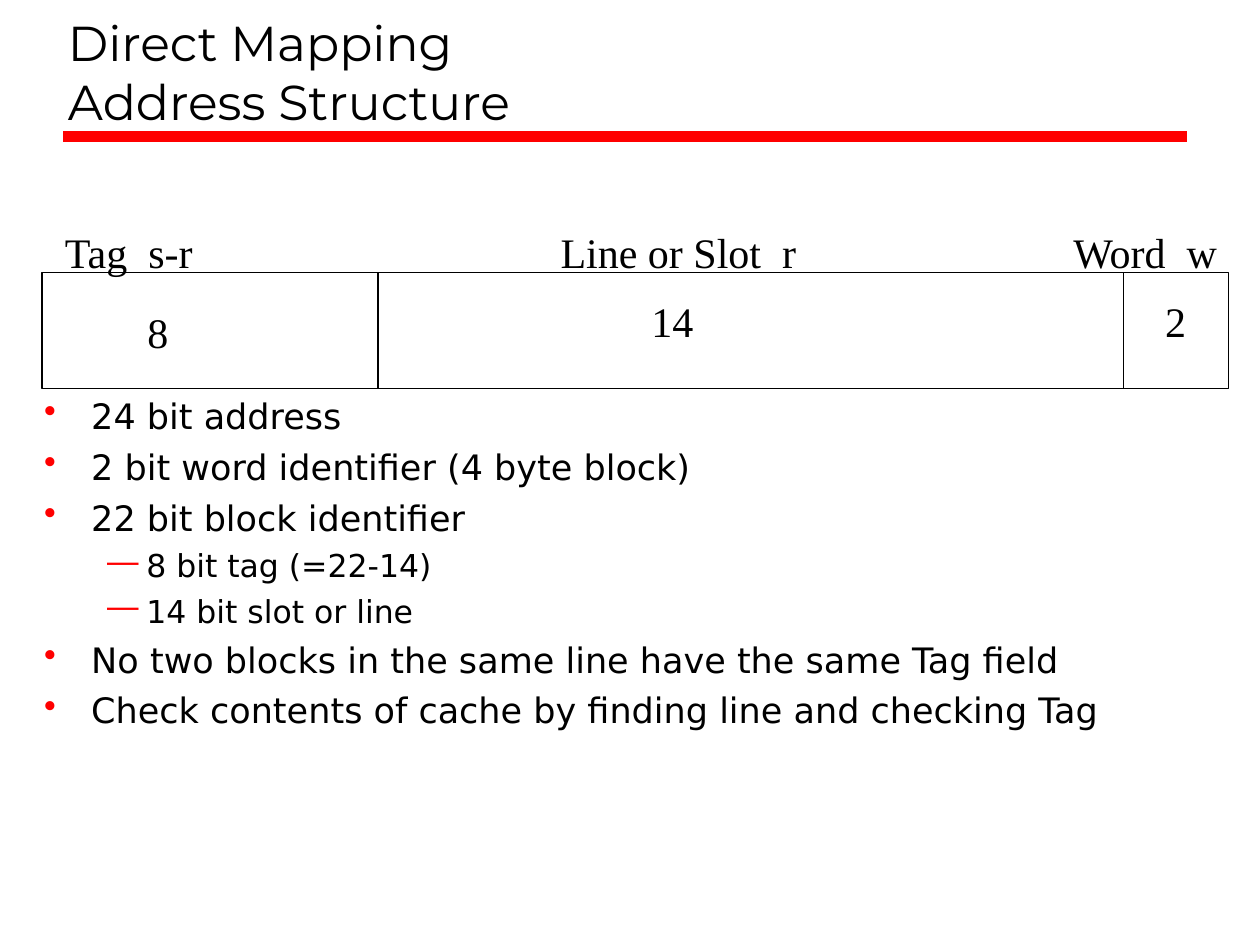
from dataclasses import dataclass

from lxml.etree import SubElement
from pptx import Presentation
from pptx.dml.color import RGBColor as Color
from pptx.enum.shapes import MSO_CONNECTOR as Connector, MSO_SHAPE as Preset
from pptx.enum.text import MSO_ANCHOR as Anchor, MSO_AUTO_SIZE as AutoSize
from pptx.oxml.ns import qn
from pptx.slide import Slide
from pptx.text.text import _Paragraph as Paragraph
from pptx.util import Cm, Pt


@dataclass(frozen=True)
class Theme:
    ink: str = "000000"
    accent: str = "FF0000"
    title_font: str = "Montserrat"
    field_font: str = "Times New Roman"
    body_font: str = "DejaVu Sans"
    title_size: float = 28
    field_size: float = 24
    thin: float = 0.75
    thick: float = 6


@dataclass(frozen=True)
class Level:
    bullet: str
    size: float
    space: float
    margin: float
    hanging: float


@dataclass(frozen=True)
class Label:
    text: str
    left: float
    top: float
    width: float


THEME = Theme()
POINT = Level("•", 20, 5, 0.95, 0.95)
DETAIL = Level("—", 18, 4.5, 2.06, 0.79)

FIELD_EDGES = (0.85, 7.62, 22.65, 24.76)
FIELD_TOP, FIELD_HEIGHT = 5.5, 2.33
NAME_TOP, BITS_TOP, LABEL_HEIGHT = 4.45, 5.84, 1.27

LABELS = (
    Label("Tag  s-r", 1.06, NAME_TOP, 3.12),
    Label("Line or Slot  r", 11.05, NAME_TOP, 5.26),
    Label("Word  w", 21.39, NAME_TOP, 3.45),
    Label("8", 2.72, 6.05, 0.91),
    Label("14", 12.88, BITS_TOP, 1.35),
    Label("2", 23.24, BITS_TOP, 0.91),
)

POINTS = (
    (POINT, "24 bit address"),
    (POINT, "2 bit word identifier (4 byte block)"),
    (POINT, "22 bit block identifier"),
    (DETAIL, "8 bit tag (=22-14)"),
    (DETAIL, "14 bit slot or line"),
    (POINT, "No two blocks in the same line have the same Tag field"),
    (POINT, "Check contents of cache by finding line and checking Tag"),
)


def add_text(slide: Slide, left: float, top: float, width: float, height: float, **formats):
    box = slide.shapes.add_textbox(Cm(left), Cm(top), Cm(width), Cm(height))
    for name, value in {"word_wrap": True, **formats}.items():
        setattr(box.text_frame, name, value)
    return box.text_frame


def write(para: Paragraph, text: str, font: str, size: float) -> None:
    para.text = text
    for span in para.runs:
        for name, value in {"name": font, "size": Pt(size)}.items():
            setattr(span.font, name, value)
        span.font.color.rgb = Color.from_string(THEME.ink)


def add_line(slide: Slide, start: tuple[float, float], end: tuple[float, float],
             color: str, weight: float) -> None:
    line = slide.shapes.add_connector(
        Connector.STRAIGHT, *(Cm(length) for length in start + end))
    line.line.color.rgb = Color.from_string(color)
    line.line.width = Pt(weight)
    SubElement(line._element.spPr, qn("a:effectLst"))


def add_bullet(para: Paragraph, level: Level) -> None:
    properties = para._p.get_or_add_pPr()
    indents = {"marL": level.margin, "indent": -level.hanging}
    for name, length in indents.items():
        properties.set(name, str(int(Cm(length))))
    color = SubElement(properties, qn("a:buClr"))
    SubElement(color, qn("a:srgbClr"), val=THEME.accent)
    SubElement(properties, qn("a:buChar"), char=level.bullet)


def add_title(slide: Slide) -> None:
    add_line(slide, (1.27, 2.75), (23.92, 2.75), THEME.accent, THEME.thick)
    frame = add_text(slide, 1.12, 0.42, 22.78, 2.33, vertical_anchor=Anchor.BOTTOM)
    write(frame.paragraphs[0], "Direct Mapping\vAddress Structure",
          THEME.title_font, THEME.title_size)


def add_address(slide: Slide) -> None:
    left, *dividers, right = FIELD_EDGES
    outline = slide.shapes.add_shape(
        Preset.RECTANGLE, Cm(left), Cm(FIELD_TOP), Cm(right - left), Cm(FIELD_HEIGHT))
    outline.shadow.inherit = False
    outline.fill.background()
    outline.line.color.rgb = Color.from_string(THEME.ink)
    outline.line.width = Pt(THEME.thin)
    for edge in dividers:
        add_line(slide, (edge, FIELD_TOP), (edge, FIELD_TOP + FIELD_HEIGHT),
                 THEME.ink, THEME.thin)
    for label in LABELS:
        frame = add_text(slide, label.left, label.top, label.width, LABEL_HEIGHT,
                         word_wrap=False, auto_size=AutoSize.SHAPE_TO_FIT_TEXT)
        write(frame.paragraphs[0], label.text, THEME.field_font, THEME.field_size)


def add_points(slide: Slide) -> None:
    frame = add_text(slide, 0.64, 7.83, 23.34, 8.99)
    for index, (level, text) in enumerate(POINTS):
        para = frame.add_paragraph() if index else frame.paragraphs[0]
        para.level = int(level is DETAIL)
        para.space_before = Pt(level.space if index else 0)
        add_bullet(para, level)
        write(para, text, THEME.body_font, level.size)


def main() -> None:
    deck = Presentation()
    deck.slide_width, deck.slide_height = Cm(25.4), Cm(19.05)
    slide = deck.slides.add_slide(deck.slide_layouts[6])
    add_title(slide)
    add_address(slide)
    add_points(slide)
    deck.save("out.pptx")


if __name__ == "__main__":
    main()
